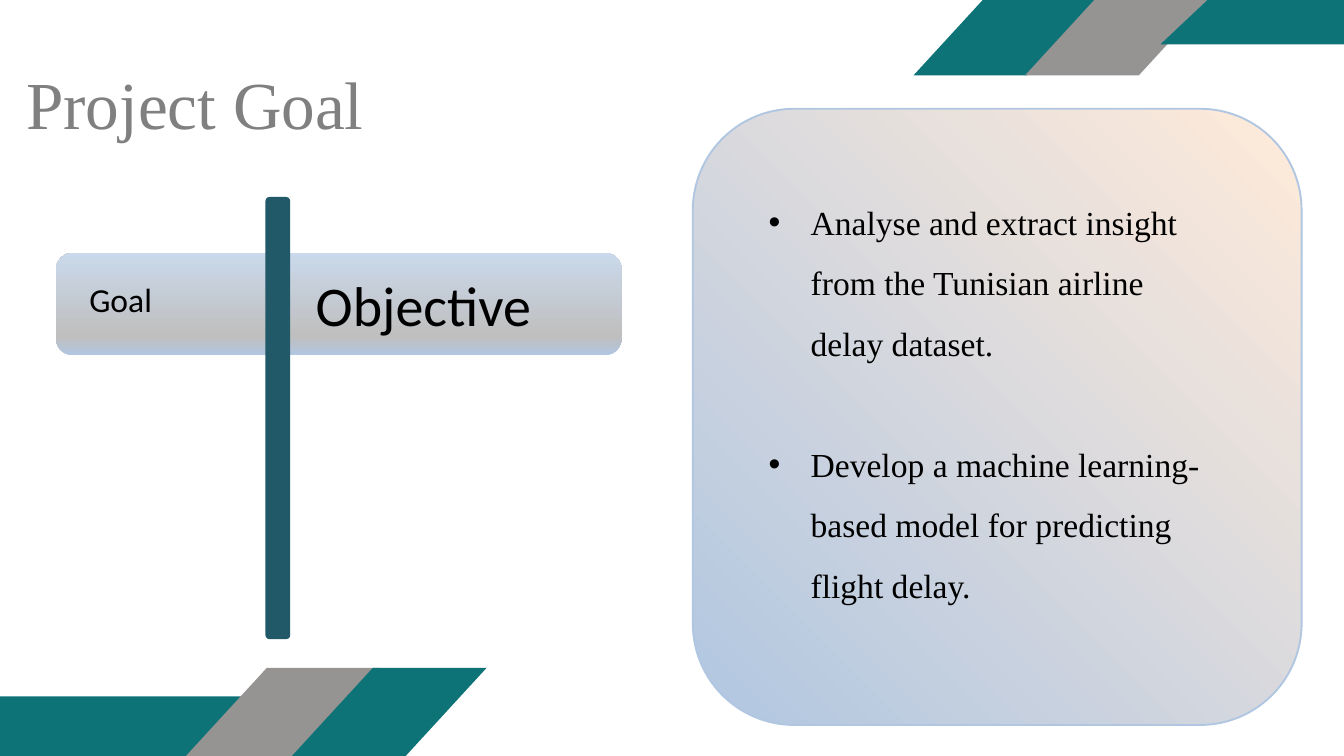
import copy

from pptx import Presentation
from pptx import util as u
from pptx.dml.color import RGBColor
from pptx.enum import shapes, text
from pptx.oxml import parse_xml
from pptx.oxml.ns import nsdecls

Pt = u.Pt
COLORS = {
    "teal": "0D7377", "gray": "969393", "title": "808080", "black": "000000",
    "blue": "B0C6E1", "pale": "CAD9EB", "peach": "FDEADA", "silver": "BFBFBF",
    "post": "215968",
}
SERIF, SANS = "Times New Roman", "Calibri"


def rgb(name):
    return RGBColor.from_string(COLORS[name])


def write(p, content, size=36, font=SERIF, color="black", spacing=None,
          before=None, indent=0):
    """Put text in a paragraph; an indent makes it a bullet item."""
    if indent:
        pPr = p._p.get_or_add_pPr()
        pPr.set("marL", str(Pt(indent)))
        pPr.set("indent", str(-Pt(indent)))
        pPr.append(parse_xml(f'<a:buFont {nsdecls("a")} typeface="Arial"/>'))
        pPr.append(parse_xml(f'<a:buChar {nsdecls("a")} char="•"/>'))
    p.alignment = text.PP_ALIGN.LEFT
    if spacing:
        p.line_spacing = spacing
    if before:
        p.space_before = Pt(before)
    r = p.add_run()
    r.text = content
    r.font.size, r.font.name = Pt(size), font
    r.font.color.rgb = rgb(color)


prs = Presentation()
prs.slide_width, prs.slide_height = Pt(1440), Pt(810)
s = prs.slides.add_slide(prs.slide_layouts[5])

# Slanted corner bands: top-left x, top y, top width, slant, height, colour
bands = [
    (-18, 746, 285, 60.5, 65.5, "teal"),
    (285.8, 715.7, 121.9, 88, 95.8, "gray"),
    (399.4, 715.7, 121.9, 88, 95.8, "teal"),
    (1066.8, -15.1, 121.9, 88, 95.8, "teal"),
    (1186.3, -15.1, 121.9, 88, 95.8, "gray"),
    (1293.8, 0, 237.6, 50.4, 47.5, "teal"),
]
for x, y, w, slant, h, color in bands:
    fb = s.shapes.build_freeform(Pt(x), Pt(y))
    fb.add_line_segments([(Pt(x + w), Pt(y)), (Pt(x + w - slant), Pt(y + h)),
                          (Pt(x - slant), Pt(y + h))], close=True)
    band = fb.convert_to_shape()
    band.shadow.inherit = False
    band.fill.solid()
    band.fill.fore_color.rgb = rgb(color)
    band.line.fill.background()

# Title
title = s.shapes.title
title.left, title.top, title.width, title.height = Pt(28), Pt(67), Pt(840), Pt(87)
tf = title.text_frame
tf.margin_left = tf.margin_right = tf.margin_top = tf.margin_bottom = 0
tf.vertical_anchor = text.MSO_ANCHOR.TOP
tf.auto_size = text.MSO_AUTO_SIZE.NONE
write(tf.paragraphs[0], "Project Goal", size=72, color="title", spacing=Pt(86.4))

# Rounded panel, heading bar and vertical post: box, rotation, angle, stops, outline
blocks = [
    ((742.3, 116.6, 652.3, 660.2), 0, 45,
     [(0, "blue"), (0.97, "peach"), (1, "pale")], "blue"),
    ((59.8, 270.7, 606.2, 110.2), 180, 270,
     [(0, "blue"), (0.18, "silver"), (1, "pale")], None),
    ((284.4, 211, 26.6, 473.8), 0, None, [(0, "post")], None),
]
for box, rotation, angle, stops, outline in blocks:
    sp = s.shapes.add_shape(shapes.MSO_SHAPE.ROUNDED_RECTANGLE, *map(Pt, box))
    sp.shadow.inherit = False
    sp.rotation = rotation
    if angle is None:
        sp.fill.solid()
        sp.fill.fore_color.rgb = rgb(stops[0][1])
    else:
        sp.fill.gradient()
        sp.fill.gradient_angle = angle
        gs_list = sp.fill._fill._gradFill.gsLst
        gs_list.append(copy.deepcopy(gs_list[0]))
        for stop, (position, color) in zip(sp.fill.gradient_stops, stops):
            stop.position = position
            stop.color.rgb = rgb(color)
    if outline:
        sp.line.color.rgb = rgb(outline)
        sp.line.width = Pt(2)
    else:
        sp.line.fill.background()

# Labels and goals
goals = [
    "Analyse and extract insight from the Tunisian airline delay dataset.",
    "Develop a machine learning-based model for predicting flight delay.",
]
boxes = [
    ((816.5, 190.8, 492.5, 522.7), goals, dict(spacing=1.5, indent=45)),
    ((331.2, 285.8, 291.6, 80), ["Objective"], dict(size=60, font=SANS)),
    ((88.6, 295.2, 214.6, 51), ["Goal"], dict(font=SANS)),
]
for box, lines, style in boxes:
    tf = s.shapes.add_textbox(*map(Pt, box)).text_frame
    tf.word_wrap = True
    for i, line in enumerate(lines):
        p = tf.add_paragraph() if i else tf.paragraphs[0]
        write(p, line, before=65 if i else None, **style)

prs.save("out.pptx")
